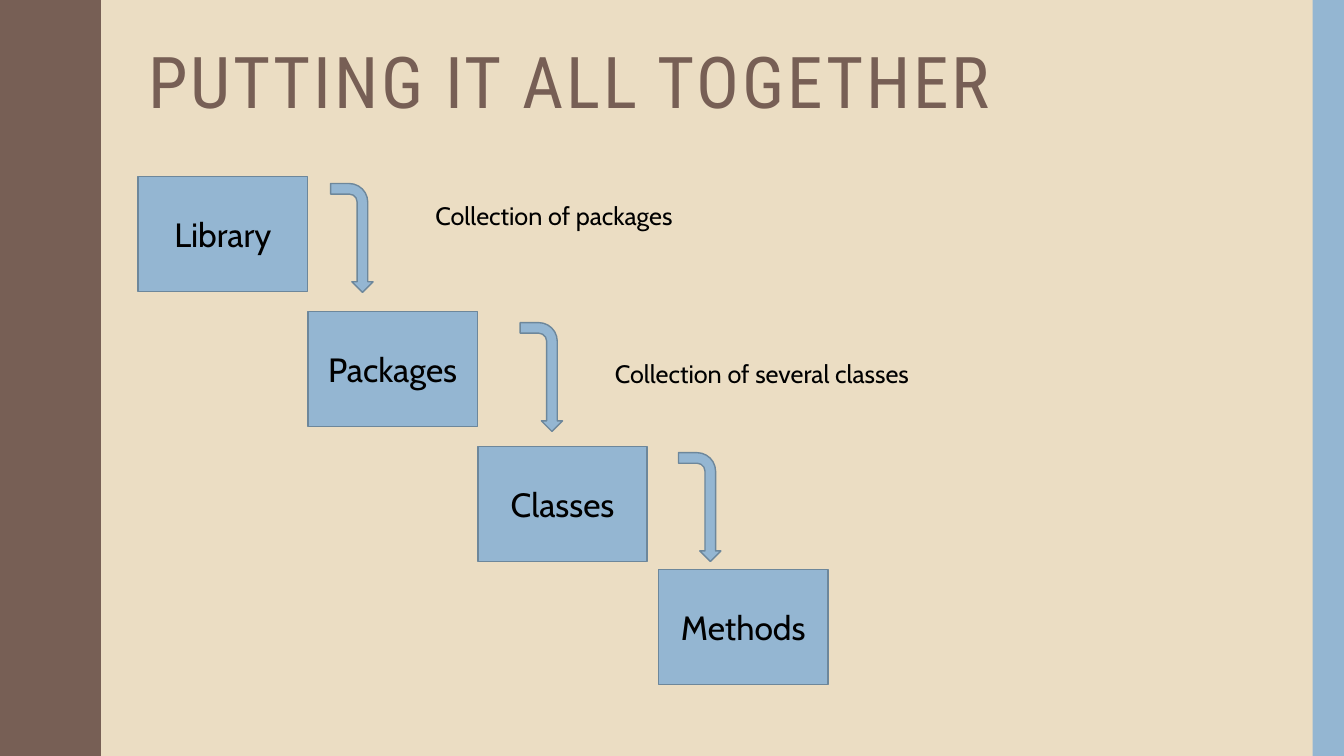
from pptx import Presentation
from pptx.dml.color import RGBColor
from pptx.enum.shapes import MSO_SHAPE as SHAPE
from pptx.enum.text import MSO_ANCHOR as ANCHOR, PP_ALIGN as ALIGN
from pptx.util import Inches, Pt

BROWN, BLUE, EDGE, SAND, BLACK = "775F55", "94B6D2", "6D879B", "EBDDC3", "000000"

prs = Presentation()
prs.slide_width, prs.slide_height = Inches(13.33), Inches(7.5)
s = prs.slides.add_slide(prs.slide_layouts[6])
col, row = prs.slide_width / 100, prs.slide_height / 100


def paint(sp, fill, line=None):
    sp.shadow.inherit = False
    sp.fill.solid()
    sp.fill.fore_color.rgb = RGBColor.from_string(fill)
    if line:
        sp.line.color.rgb = RGBColor.from_string(line)
        sp.line.width = Pt(1)
    else:
        sp.line.fill.background()


def write(sp, text, size, font="Cabin", color=BLACK, align=ALIGN.LEFT,
          anchor=ANCHOR.TOP, line_spacing=None, tracking=None):
    tf = sp.text_frame
    tf.word_wrap = True
    tf.vertical_anchor = anchor
    p = tf.paragraphs[0]
    p.alignment = align
    p.line_spacing = line_spacing
    r = p.add_run()
    r.text = text
    r.font.size, r.font.name = Pt(size), font
    r.font.color.rgb = RGBColor.from_string(color)
    if tracking:
        r.font._element.set("spc", str(tracking * 100))


s.background.fill.solid()
s.background.fill.fore_color.rgb = RGBColor.from_string(SAND)

period, waves = 1.5, 5
swell = [(0.78, 0), (0.78, 0.07), (0.79, 0.14), (0.8, 0.2), (0.81, 0.25),
         (0.83, 0.29), (0.85, 0.33), (0.87, 0.38), (0.89, 0.42), (0.91, 0.46),
         (0.93, 0.5), (0.95, 0.55), (0.96, 0.61), (0.97, 0.68), (0.97, 0.75)]
wave = swell + [(x, period - y) for x, y in swell[-2::-1]]
edge = [(x, y + i * period) for i in range(waves) for x, y in wave]
border = s.shapes.build_freeform(0, 0, scale=Inches(1))
border.add_line_segments(edge + [(0, waves * period)], close=True)
paint(border.convert_to_shape(), BROWN)

strip = s.shapes.add_shape(SHAPE.RECTANGLE, 97.67 * col, 0, 2.33 * col, 100 * row)
paint(strip, BLUE)

title = s.shapes.add_textbox(10.28 * col, 5.6 * row, 83.5 * col, 21.73 * row)
write(title, "PUTTING IT ALL TOGETHER", 51, font="Roboto Condensed",
      color=BROWN, line_spacing=0.9, tracking=2)

steps = [("Library", 0, 0), ("Packages", 0, 0), ("Classes", 0, 0),
         ("Methods", 0.8, -1.6)]
for i, (name, dx, dy) in enumerate(steps):
    box = s.shapes.add_shape(
        SHAPE.RECTANGLE, (10.28 + 12.64 * i + dx) * col,
        (23.33 + 17.87 * i + dy) * row, 12.6 * col, 15.2 * row)
    paint(box, BLUE, EDGE)
    write(box, name, 24, align=ALIGN.CENTER, anchor=ANCHOR.MIDDLE)

for x, y in [(22.13, 28.67), (36.23, 47.07), (48.01, 64.27)]:
    arrow = s.shapes.add_shape(SHAPE.BENT_ARROW, x * col, y * row, 8.1 * col, 5.6 * row)
    arrow.rotation = 90
    paint(arrow, BLUE, EDGE)

for text, x, y, w in [("Collection of packages", 31.66, 25.87, 49.29),
                      ("Collection of several classes", 45.01, 46.8, 41.11)]:
    label = s.shapes.add_textbox(x * col, y * row, w * col, 5.33 * row)
    write(label, text, 18)

prs.save("out.pptx")
